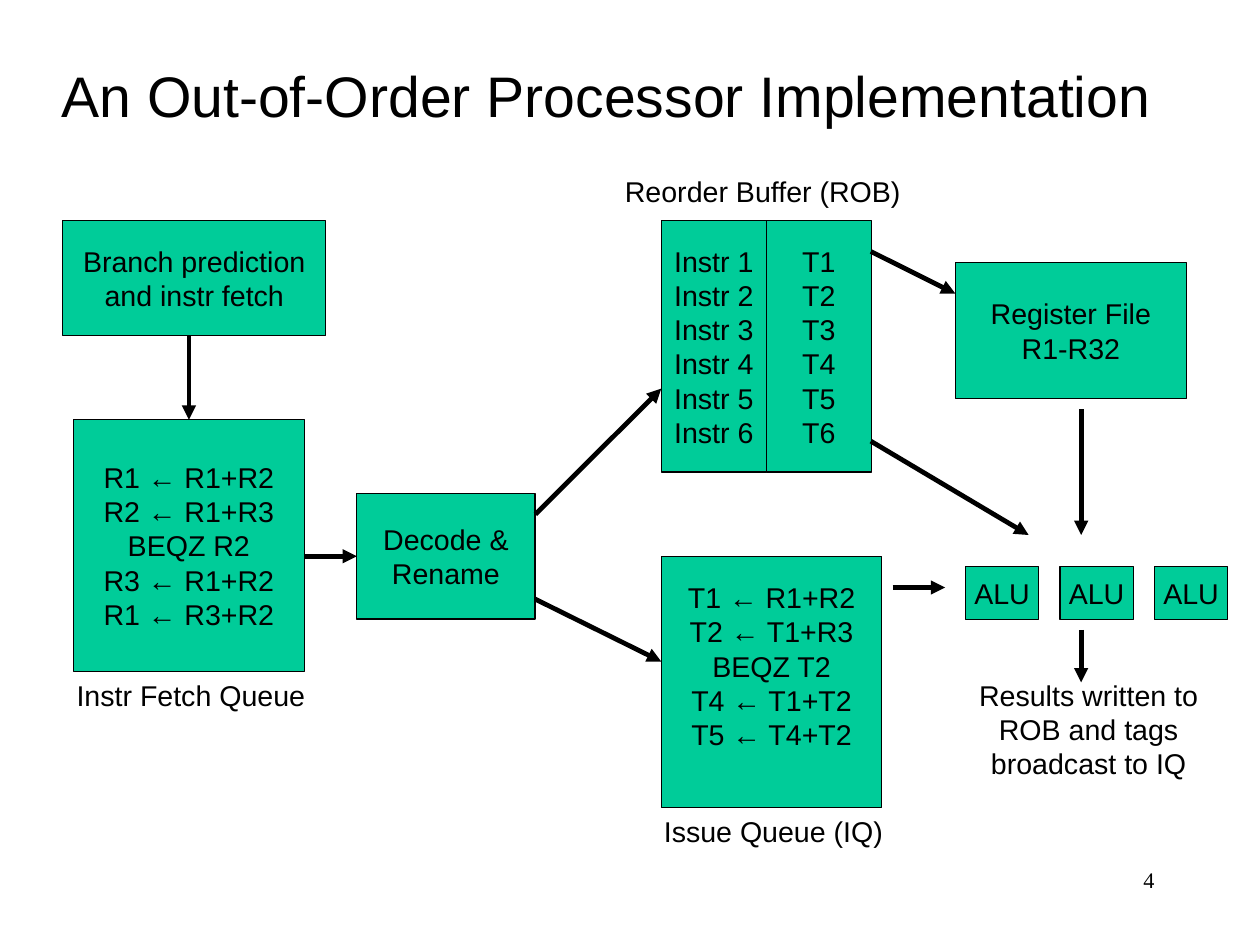
from dataclasses import dataclass

from lxml import etree
from pptx import Presentation
from pptx.dml.color import RGBColor
from pptx.enum.shapes import MSO_CONNECTOR, MSO_SHAPE
from pptx.enum.text import MSO_ANCHOR, MSO_AUTO_SIZE, PP_ALIGN
from pptx.oxml.ns import qn
from pptx.util import Pt

RECTANGLE = MSO_SHAPE.RECTANGLE
STRAIGHT = MSO_CONNECTOR.STRAIGHT
MIDDLE = MSO_ANCHOR.MIDDLE
FIT_SHAPE = MSO_AUTO_SIZE.SHAPE_TO_FIT_TEXT
LEFT, CENTER, RIGHT = PP_ALIGN.LEFT, PP_ALIGN.CENTER, PP_ALIGN.RIGHT


@dataclass(frozen=True)
class Theme:
    ink: RGBColor = RGBColor(0x00, 0x00, 0x00)
    block: RGBColor = RGBColor(0x00, 0xCC, 0x99)
    font: str = "Arial"
    number_font: str = "Times New Roman"
    title_size: float = 36
    body_size: float = 18
    number_size: float = 14
    outline: float = 0.75
    arrow: float = 3


THEME = Theme()
SLIDE_WIDTH, SLIDE_HEIGHT = 793.75, 595.25
LINE_HEIGHT = 20.6
BOTTOM_INSET = 3.6
QUEUE_HEIGHT = 158.4
ROB_LEFT, ROB_TOP, ROB_COLUMN = 416.6, 139, 66.2
ALU_LEFT, ALU_STEP, ALU_COUNT = 608.3, 59.5, 3

BLOCKS = [
    ("Branch prediction\nand instr fetch", (39.6, 139, 165.6, 72.5)),
    ("R1 ← R1+R2\nR2 ← R1+R3\nBEQZ R2\nR3 ← R1+R2\nR1 ← R3+R2",
     (46.3, 264.4, 145.4, QUEUE_HEIGHT)),
    ("Decode &\nRename", (224.8, 310.8, 112.3, 79.2)),
    ("Register File\nR1-R32", (601.9, 165.4, 145.4, 85.7)),
]
LABELS = [
    ("Instr Fetch Queue", (41.2, 423.4, 160, 28.8), LEFT),
    ("Reorder Buffer (ROB)", (386.6, 105.8, 189, 28.8), LEFT),
    ("Issue Queue (IQ)", (411.1, 509, 154, 28.8), LEFT),
    ("Results written to\nROB and tags\nbroadcast to IQ",
     (608.8, 423.4, 154, 72), CENTER),
]
ARROWS = [
    (119, 211.5, 119, 264.4),
    (191.5, 350.4, 224.8, 350.4),
    (337.3, 324, 416.6, 244.8),
    (337, 377.3, 416.6, 416.7),
    (562.3, 370.1, 595.4, 370.1),
    (681.1, 257.8, 681.1, 337),
    (548.6, 277.9, 648, 337),
    (681.1, 396.7, 681.1, 429.8),
    (548.6, 158.4, 601.9, 185),
]


def points(values):
    return [Pt(value) for value in values]


def write_text(shape, text, alignment, size=THEME.body_size, font=THEME.font):
    text_frame = shape.text_frame
    text_frame.text = text
    for paragraph in text_frame.paragraphs:
        paragraph.alignment = alignment
        for run in paragraph.runs:
            run.font.size = Pt(size)
            run.font.name = font
            run.font.color.rgb = THEME.ink


def add_block(slide, text, box, bottom_inset=BOTTOM_INSET):
    shape = slide.shapes.add_shape(RECTANGLE, *points(box))
    shape.shadow.inherit = False
    shape.fill.solid()
    shape.fill.fore_color.rgb = THEME.block
    shape.line.color.rgb = THEME.ink
    shape.line.width = Pt(THEME.outline)
    write_text(shape, text, CENTER)
    shape.text_frame.word_wrap = False
    shape.text_frame.vertical_anchor = MIDDLE
    shape.text_frame.margin_bottom = Pt(bottom_inset)


def add_label(slide, text, box, alignment=LEFT, size=THEME.body_size):
    label = slide.shapes.add_textbox(*points(box))
    write_text(label, text, alignment, size)
    label.text_frame.word_wrap = False
    label.text_frame.auto_size = FIT_SHAPE


def add_slide_number(slide, text, box):
    number = slide.shapes.add_textbox(*points(box))
    write_text(number, text, RIGHT, THEME.number_size, THEME.number_font)
    number.text_frame.word_wrap = True


def add_arrow(slide, ends):
    connector = slide.shapes.add_connector(STRAIGHT, *points(ends))
    connector.line.color.rgb = THEME.ink
    connector.line.width = Pt(THEME.arrow)
    line = connector.line._get_or_add_ln()
    etree.SubElement(line, qn("a:tailEnd"), type="triangle")
    etree.SubElement(connector._element.spPr, qn("a:effectLst"))


def add_reorder_buffer(slide):
    for column, prefix in enumerate(("Instr ", "T")):
        text = "\n".join(f"{prefix}{entry}" for entry in range(1, 7))
        left = ROB_LEFT + column * ROB_COLUMN
        add_block(slide, text, (left, ROB_TOP, ROB_COLUMN, QUEUE_HEIGHT))


def add_issue_queue(slide):
    text = "T1 ← R1+R2\nT2 ← T1+R3\nBEQZ T2\nT4 ← T1+T2\nT5 ← T4+T2"
    add_block(slide, text, (ROB_LEFT, 350.4, 139, QUEUE_HEIGHT),
              BOTTOM_INSET + LINE_HEIGHT)


def add_alus(slide):
    for index in range(ALU_COUNT):
        add_block(slide, "ALU", (ALU_LEFT + index * ALU_STEP, 357, 46.1, 33.1))


def main():
    presentation = Presentation()
    presentation.slide_width = Pt(SLIDE_WIDTH)
    presentation.slide_height = Pt(SLIDE_HEIGHT)
    slide = presentation.slides.add_slide(presentation.slide_layouts[6])

    add_slide_number(slide, "4", (568.8, 542.2, 165.6, 39.6))
    add_label(slide, "An Out-of-Order Processor Implementation",
              (31.7, 34.6, 701, 50.4), size=THEME.title_size)
    for text, box in BLOCKS:
        add_block(slide, text, box)
    add_reorder_buffer(slide)
    add_issue_queue(slide)
    add_alus(slide)
    for text, box, alignment in LABELS:
        add_label(slide, text, box, alignment)
    for ends in ARROWS:
        add_arrow(slide, ends)

    presentation.save("out.pptx")


if __name__ == "__main__":
    main()
